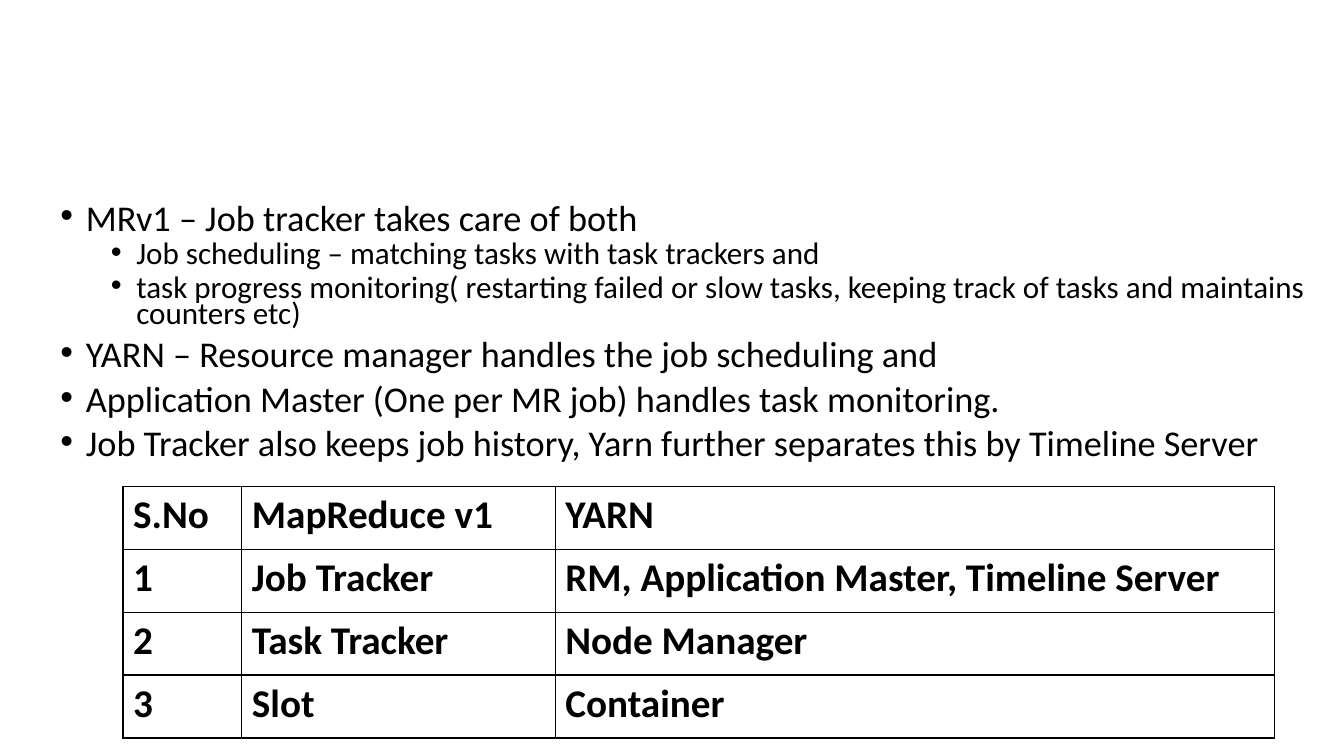
from lxml.etree import SubElement
from pptx import Presentation
from pptx.dml.color import RGBColor
from pptx.enum.text import MSO_ANCHOR, MSO_AUTO_SIZE
from pptx.oxml.ns import qn
from pptx.util import Cm, Pt

COLORS = {"text": "000000", "border": "000000"}
FONT = "Calibri"
LEVELS = [
    {"size": 25.9, "before": 10, "indent": 0.64},
    {"size": 22.2, "before": 5, "indent": 1.91},
]
POINTS = [
    (0, "MRv1 – Job tracker takes care of both"),
    (1, "Job scheduling – matching tasks with task trackers and"),
    (1, "task progress monitoring( restarting failed or slow tasks, "
        "keeping track of tasks and maintains counters etc)"),
    (0, "YARN – Resource manager handles the job scheduling and"),
    (0, "Application Master (One per MR job) handles task monitoring."),
    (0, "Job Tracker also keeps job history, "
        "Yarn further separates this by Timeline Server"),
]
COMPARISON = [
    ("S.No", "MapReduce v1", "YARN"),
    ("1", "Job Tracker", "RM, Application Master, Timeline Server"),
    ("2", "Task Tracker", "Node Manager"),
    ("3", "Slot", "Container"),
]
COLUMN_SHARES = (1.18, 3.11, 7.14)


def write(paragraph, text, size, bold=False, color="text"):
    """Add a formatted run to a paragraph."""
    run = paragraph.add_run()
    run.text = text
    run.font.name = FONT
    run.font.size = Pt(size)
    run.font.bold = bold
    run.font.color.rgb = RGBColor.from_string(COLORS[color])


def add_bullet(paragraph, indent):
    """Give a paragraph a hanging round bullet."""
    properties = paragraph._p.get_or_add_pPr()
    properties.set("marL", str(Cm(indent)))
    properties.set("indent", str(-Cm(0.64)))
    SubElement(properties, qn("a:buChar"), char="•")


def add_borders(cell, width=1):
    """Draw a solid line on all four sides of a cell."""
    properties = cell._tc.get_or_add_tcPr()
    for side in ("L", "R", "T", "B"):
        line = SubElement(properties, qn(f"a:ln{side}"), w=str(Pt(width)))
        fill = SubElement(line, qn("a:solidFill"))
        SubElement(fill, qn("a:srgbClr"), val=COLORS["border"])


def fill_points(body, left, top, width, height):
    """Place the body placeholder and fill it with the bulleted points."""
    body.left, body.top = Cm(left), Cm(top)
    body.width, body.height = Cm(width), Cm(height)
    frame = body.text_frame
    frame.word_wrap = True
    frame.auto_size = MSO_AUTO_SIZE.NONE
    frame.vertical_anchor = MSO_ANCHOR.TOP
    for index, (level, text) in enumerate(POINTS):
        point = frame.add_paragraph() if index else frame.paragraphs[0]
        style = LEVELS[level]
        point.level = level
        point.line_spacing = 0.7
        point.space_before = Pt(style["before"])
        point.space_after = Pt(0)
        add_bullet(point, style["indent"])
        write(point, text, style["size"])


def add_comparison(slide, left, top, width, height):
    """Add the bordered table that compares both versions."""
    table = slide.shapes.add_table(
        len(COMPARISON), len(COLUMN_SHARES),
        Cm(left), Cm(top), Cm(width), Cm(height)).table
    table.first_row = table.horz_banding = False
    for column, share in zip(table.columns, COLUMN_SHARES):
        column.width = Cm(width * share / sum(COLUMN_SHARES))
    for row, texts in zip(table.rows, COMPARISON):
        row.height = Cm(height / len(COMPARISON))
        for cell, text in zip(row.cells, texts):
            add_borders(cell)
            cell.fill.background()
            write(cell.text_frame.paragraphs[0], text, 28, bold=True)


def build_slide(deck):
    """Build the slide with the points above the table."""
    slide = deck.slides.add_slide(deck.slide_layouts[1])
    heading = slide.shapes.title.element
    heading.getparent().remove(heading)
    fill_points(slide.placeholders[1], 1.27, 5.08, 32.59, 7.19)
    add_comparison(slide, 3.1, 12.25, 29.03, 6.35)


deck = Presentation()
deck.slide_width, deck.slide_height = Cm(33.87), Cm(19.05)
build_slide(deck)
deck.save("out.pptx")
